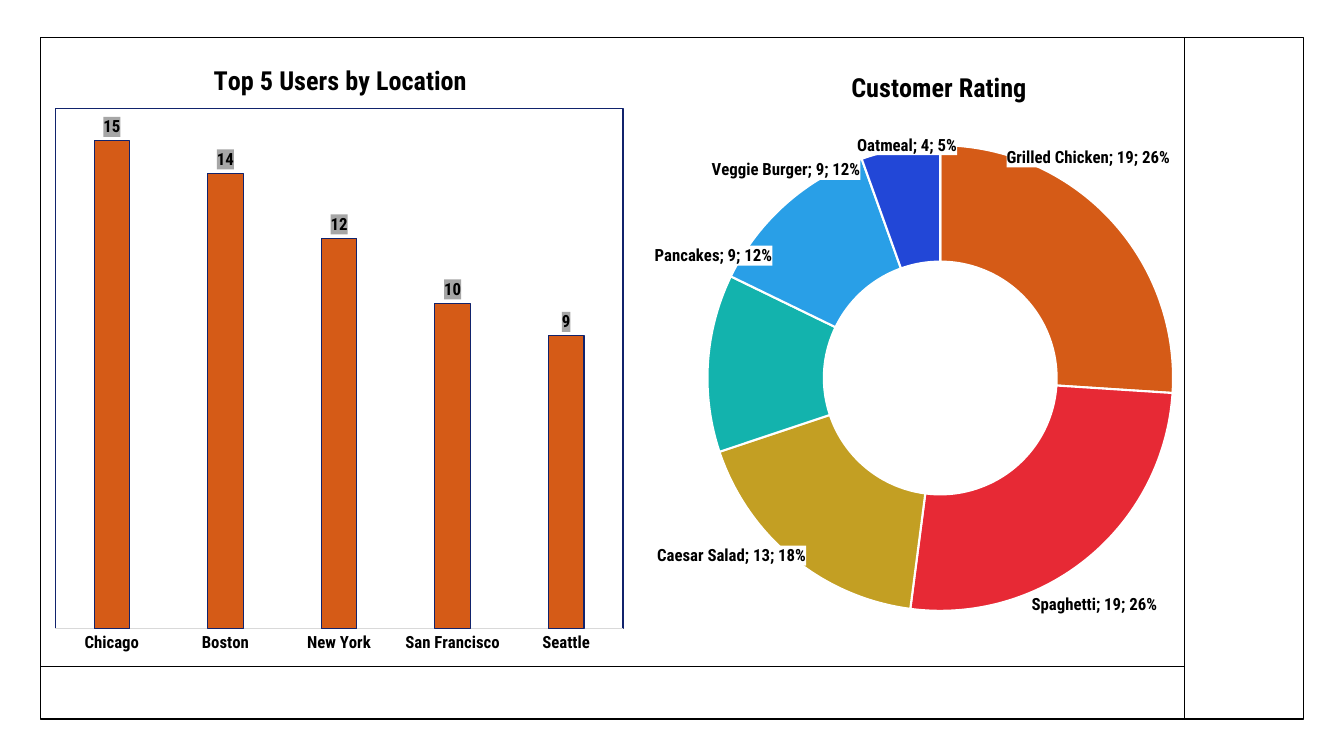
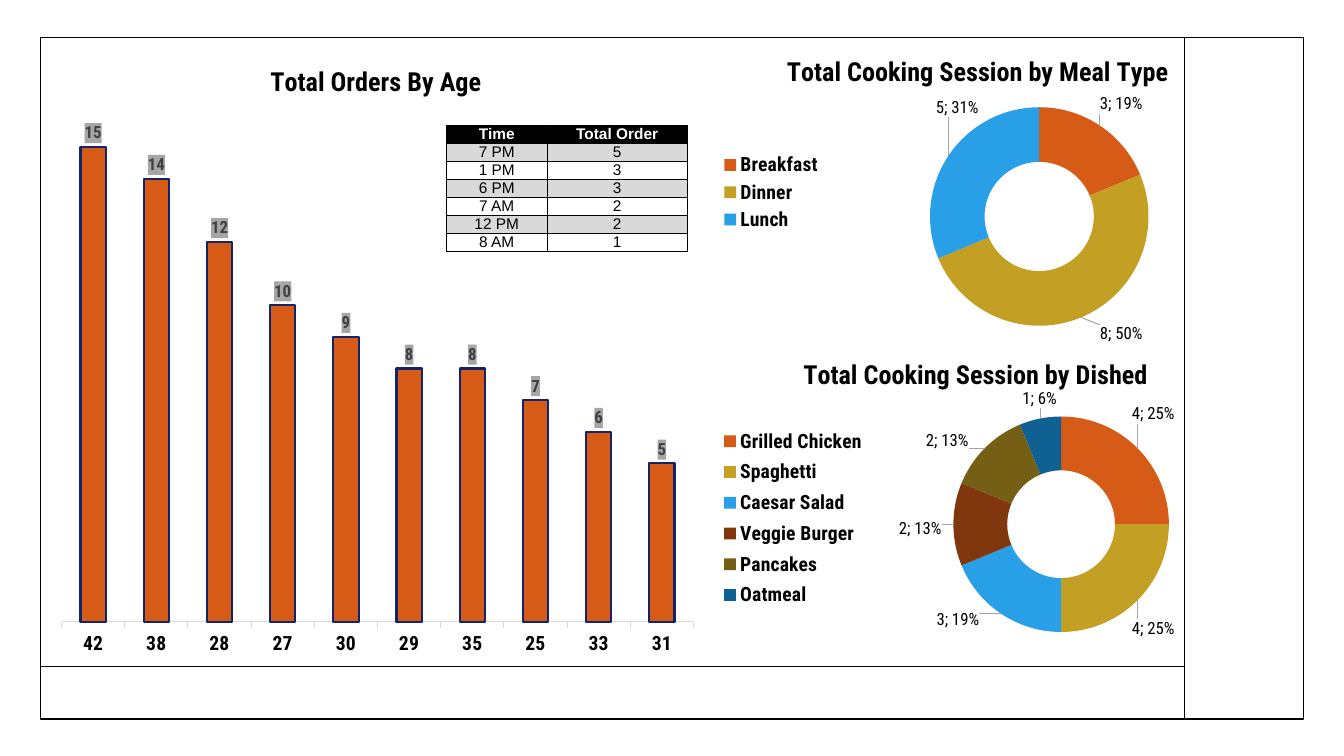
import math
from dataclasses import dataclass
from itertools import accumulate
from typing import NamedTuple

from pptx import Presentation, oxml
from pptx.chart import data as chart_data
from pptx.dml.color import RGBColor
from pptx.enum import chart as ec, shapes, text
from pptx.oxml import ns
from pptx.util import Cm, Pt


@dataclass(frozen=True)
class Theme:
    font: str = "Roboto Condensed"
    table_font: str = "Arial"
    black: str = "000000"
    white: str = "FFFFFF"
    orange: str = "D55B17"
    gold: str = "C39F23"
    sky: str = "299FE7"
    navy: str = "11236C"
    label_grey: str = "A6A6A6"
    axis_grey: str = "D9D9D9"
    dark_grey: str = "404040"
    title_size: float = 18.7
    large_size: int = 14
    label_size: int = 12
    table_size: int = 11
    base_size: int = 10


THEME = Theme()


class Box(NamedTuple):
    """Centimetres on the slide, or fractions inside a chart."""
    x: float
    y: float
    w: float
    h: float


class Spot(NamedTuple):
    x: float
    y: float


class Slice(NamedTuple):
    name: str
    value: int
    color: str
    label: Spot


@dataclass(frozen=True)
class Chart:
    title: str
    title_at: Spot
    area: Box
    plot: Box


@dataclass(frozen=True)
class BarChart(Chart):
    values: dict[str, int]
    gap: int
    overlap: int
    outline: float
    axis_size: int
    tick: ec.XL_TICK_MARK
    label_color: str
    plot_border: bool = False


@dataclass(frozen=True)
class RingChart(Chart):
    slices: list[Slice]
    hole: int = 50
    legend: Box | None = None
    named_labels: bool = False


LOCATIONS = BarChart(
    "Top 5 Users by Location", Spot(0.28, 0.03), Box(1.09, 0.99, 14.91, 15.8),
    Box(0.02, 0.11, 0.96, 0.83),
    {"Chicago": 15, "Boston": 14, "New York": 12, "San Francisco": 10, "Seattle": 9},
    gap=219, overlap=-27, outline=0.75, axis_size=THEME.label_size,
    tick=ec.XL_TICK_MARK.NONE, label_color=THEME.black, plot_border=True)

RATING = RingChart(
    "Customer Rating", Spot(0.35, 0.03), Box(16, 1.19, 15.24, 15.44),
    Box(0.12, 0.16, 0.77, 0.76),
    [Slice("Grilled Chicken", 19, THEME.orange, Spot(0.75, 0.18)),
     Slice("Spaghetti", 19, "E72935", Spot(0.76, 0.91)),
     Slice("Caesar Salad", 13, THEME.gold, Spot(0.16, 0.83)),
     Slice("Pancakes", 9, "13B3AD", Spot(0.13, 0.34)),
     Slice("Veggie Burger", 9, THEME.sky, Spot(0.25, 0.2)),
     Slice("Oatmeal", 4, "2247D7", Spot(0.45, 0.16))],
    hole=75, named_labels=True)

AGES = BarChart(
    "Total Orders By Age", Spot(0.33, 0.03), Box(1.22, 1.02, 16.59, 15.75),
    Box(0.02, 0.12, 0.96, 0.81),
    {"42": 15, "38": 14, "28": 12, "27": 10, "30": 9,
     "29": 8, "35": 8, "25": 7, "33": 6, "31": 5},
    gap=150, overlap=0, outline=1.5, axis_size=THEME.large_size,
    tick=ec.XL_TICK_MARK.OUTSIDE, label_color=THEME.dark_grey)

DISHES = RingChart(
    "Total Cooking Session by Dished", Spot(0.17, 0.03), Box(17.78, 8.66, 13.79, 7.65),
    Box(0.45, 0.24, 0.4, 0.71),
    [Slice("Grilled Chicken", 4, THEME.orange, Spot(0.82, 0.23)),
     Slice("Spaghetti", 4, THEME.gold, Spot(0.82, 0.94)),
     Slice("Caesar Salad", 3, THEME.sky, Spot(0.46, 0.91)),
     Slice("Veggie Burger", 2, "80370E", Spot(0.39, 0.61)),
     Slice("Pancakes", 2, "755F15", Spot(0.44, 0.32)),
     Slice("Oatmeal", 1, "106193", Spot(0.61, 0.18))],
    legend=Box(0.02, 0.26, 0.28, 0.63))

MEALS = RingChart(
    "Total Cooking Session by Meal Type", Spot(0.14, 0.03), Box(17.78, 1.02, 13.79, 7.65),
    Box(0.41, 0.22, 0.4, 0.72),
    [Slice("Breakfast", 3, THEME.orange, Spot(0.76, 0.21)),
     Slice("Dinner", 8, THEME.gold, Spot(0.76, 0.97)),
     Slice("Lunch", 5, THEME.sky, Spot(0.46, 0.22))],
    legend=Box(0.02, 0.36, 0.2, 0.28))

ORDER_TIMES = [("Time", "Total Order"), ("7 PM", "5"), ("1 PM", "3"), ("6 PM", "3"),
               ("7 AM", "2"), ("12 PM", "2"), ("8 AM", "1")]


def rgb(color: str) -> RGBColor:
    return RGBColor.from_string(color)


def set_font(font, size: float, color: str = THEME.black, bold: bool = False,
             name: str = THEME.font) -> None:
    font.size, font.bold, font.name = Pt(size), bold, name
    font.color.rgb = rgb(color)


def write_text(frame, words: str, **style) -> None:
    frame.text = words
    paragraph = frame.paragraphs[0]
    paragraph.alignment = text.PP_ALIGN.CENTER
    set_font(paragraph.runs[0].font, **style)


def set_line(line, color: str, width: float) -> None:
    line.color.rgb = rgb(color)
    line.width = Pt(width)


def xml(source: str):
    """Parse one element, declaring its namespaces on the first tag."""
    tag, rest = source.split(">", 1)
    return oxml.parse_xml(f"{tag} {ns.nsdecls('a', 'c')}>{rest}")


def solid(color: str) -> str:
    return f'<a:solidFill><a:srgbClr val="{color}"/></a:solidFill>'


def outline(color: str, width: float) -> str:
    return f'<c:spPr><a:ln w="{Pt(width)}">{solid(color)}</a:ln></c:spPr>'


def layout(at: Spot | Box, inner: bool = False) -> str:
    target = '<c:layoutTarget val="inner"/>' if inner else ""
    modes = "".join(f'<c:{axis}Mode val="edge"/>' for axis in "xy")
    places = "".join(f'<c:{key} val="{value}"/>' for key, value in at._asdict().items())
    return f"<c:layout><c:manualLayout>{target}{modes}{places}</c:manualLayout></c:layout>"


def place(chart, part: str, at: Spot | Box, after: str = "") -> None:
    """Give a chart part a manual layout, following the child named in after."""
    owner = chart.element.xpath(f"c:chart/c:{part}")[0]
    for automatic in owner.xpath("c:layout"):
        owner.remove(automatic)
    index = owner.index(owner.xpath(f"c:{after}")[0]) + 1 if after else 0
    owner.insert(index, xml(layout(at, inner=part == "plotArea")))


def label_offsets(ring: RingChart) -> list[Spot]:
    """Distance of each label from the middle of its ring segment."""
    plot, values = ring.plot, [part.value for part in ring.slices]
    offsets = []
    for part, end in zip(ring.slices, accumulate(values)):
        angle = 2 * math.pi * (end - part.value / 2) / sum(values)
        middle_x = plot.x + plot.w / 2 * (1 + 0.75 * math.sin(angle))
        middle_y = plot.y + plot.h / 2 * (1 - 0.75 * math.cos(angle))
        offsets.append(Spot(part.label.x - middle_x, part.label.y - middle_y))
    return offsets


def add_labels(chart, color: str, bold: bool, fill: str = "", position: str = "",
               named: bool = False, percent: bool = False, offsets: list[Spot] = ()) -> None:
    shown = {"LegendKey": False, "Val": True, "CatName": named, "SerName": False,
             "Percent": percent, "BubbleSize": False}
    look = (
        (f"<c:spPr>{solid(fill)}</c:spPr>" if fill else "")
        + f'<c:txPr><a:bodyPr wrap="none"/><a:p><a:pPr><a:defRPr sz="{THEME.label_size * 100}" '
        + f'b="{bold:d}">{solid(color)}<a:latin typeface="{THEME.font}"/></a:defRPr></a:pPr>'
        + "</a:p></c:txPr>"
        + (f'<c:dLblPos val="{position}"/>' if position else "")
        + "".join(f'<c:show{key} val="{on:d}"/>' for key, on in shown.items())
        + "<c:separator>; </c:separator>")
    points = "".join(
        f'<c:dLbl><c:idx val="{index}"/><c:layout><c:manualLayout><c:x val="{offset.x:.4f}"/>'
        f'<c:y val="{offset.y:.4f}"/></c:manualLayout></c:layout>{look}</c:dLbl>'
        for index, offset in enumerate(offsets))
    leaders = f'<c:showLeaderLines val="{not named:d}"/>' if percent else ""
    if percent and not named:
        leaders += f"<c:leaderLines>{outline(THEME.label_grey, 0.75)}</c:leaderLines>"
    categories = chart.element.xpath("//c:ser/c:cat")[0]
    categories.addprevious(xml(f"<c:dLbls>{points}{look}{leaders}</c:dLbls>"))


def add_chart(slide, design: Chart, kind: ec.XL_CHART_TYPE, values: dict[str, int]):
    numbers = chart_data.CategoryChartData()
    numbers.categories = list(values)
    numbers.add_series("Series 1", list(values.values()))
    chart = slide.shapes.add_chart(kind, *map(Cm, design.area), numbers).chart
    set_font(chart.font, THEME.base_size)
    write_text(chart.chart_title.text_frame, design.title, size=THEME.title_size, bold=True)
    place(chart, "title", design.title_at, after="tx")
    place(chart, "plotArea", design.plot)
    chart.has_legend = False
    return chart


def add_bars(slide, design: BarChart) -> None:
    chart = add_chart(slide, design, ec.XL_CHART_TYPE.COLUMN_CLUSTERED, design.values)
    plot = chart.plots[0]
    plot.gap_width, plot.overlap, plot.vary_by_categories = design.gap, design.overlap, False
    bars = plot.series[0]
    bars.format.fill.solid()
    bars.format.fill.fore_color.rgb = rgb(THEME.orange)
    set_line(bars.format.line, THEME.navy, design.outline)

    scale, groups = chart.value_axis, chart.category_axis
    scale.visible = scale.has_major_gridlines = False
    scale.minimum_scale, scale.maximum_scale = 0, 16
    groups.major_tick_mark = design.tick
    set_font(groups.tick_labels.font, design.axis_size, bold=True)
    set_line(groups.format.line, THEME.axis_grey, 0.75)
    add_labels(chart, design.label_color, True, fill=THEME.label_grey, position="outEnd")
    if design.plot_border:
        chart.element.xpath("//c:plotArea")[0].append(xml(outline(THEME.navy, 0.75)))


def add_ring(slide, design: RingChart) -> None:
    values = {part.name: part.value for part in design.slices}
    chart = add_chart(slide, design, ec.XL_CHART_TYPE.DOUGHNUT, values)
    chart.element.xpath("//c:holeSize")[0].set("val", str(design.hole))
    for index, part in enumerate(design.slices):
        segment = chart.plots[0].series[0].points[index].format
        segment.fill.solid()
        segment.fill.fore_color.rgb = rgb(part.color)
        if design.named_labels:
            set_line(segment.line, THEME.white, 1.5)
        else:
            segment.line.fill.background()
    add_labels(chart, THEME.black, design.named_labels, percent=True, named=design.named_labels,
               fill=THEME.white if design.named_labels else "", offsets=label_offsets(design))
    if design.legend:
        chart.has_legend = True
        chart.legend.position = ec.XL_LEGEND_POSITION.LEFT
        chart.legend.include_in_layout = False
        set_font(chart.legend.font, THEME.large_size, bold=True)
        place(chart, "legend", design.legend, after="legendPos")


def add_order_times(slide) -> None:
    widths, row_height = (2.54, 3.53), 0.44
    table = slide.shapes.add_table(
        len(ORDER_TIMES), len(widths), Cm(11.25), Cm(3.15),
        Cm(sum(widths)), Cm(row_height * len(ORDER_TIMES))).table
    table.first_row = table.horz_banding = False
    for column, width in zip(table.columns, widths):
        column.width = Cm(width)
    for r, entries in enumerate(ORDER_TIMES):
        table.rows[r].height = Cm(row_height)
        for c, entry in enumerate(entries):
            cell = table.cell(r, c)
            cell.margin_left = cell.margin_right = cell.margin_top = Cm(0.02)
            cell.margin_bottom = 0
            cell.vertical_anchor = text.MSO_ANCHOR.BOTTOM
            write_text(cell.text_frame, entry, size=THEME.table_size, bold=r == 0,
                       color=THEME.black if r else THEME.white, name=THEME.table_font)
            if r % 2 or r == 0:
                cell.fill.solid()
                cell.fill.fore_color.rgb = rgb(THEME.axis_grey if r else THEME.black)
            else:
                cell.fill.background()
            for index, side in enumerate("LRTB"):
                border = f'<a:ln{side} w="{Pt(0.5)}">{solid(THEME.black)}</a:ln{side}>'
                cell._tc.tcPr.insert(index, xml(border))


def add_frame(slide, page_layout) -> None:
    """Draw the page frame and hand it to the layout that the slides share."""
    border = slide.shapes.add_shape(
        shapes.MSO_SHAPE.RECTANGLE, Cm(1.02), Cm(0.94), Cm(31.83), Cm(17.18))
    border.shadow.inherit = False
    border.fill.background()
    parts = [border]
    for ends in ((29.85, 0.94, 29.85, 18.12), (1.02, 16.79, 29.85, 16.79)):
        divider = slide.shapes.add_connector(shapes.MSO_CONNECTOR.STRAIGHT, *map(Cm, ends))
        parts.append(divider)
    for part in parts:
        set_line(part.line, THEME.black, 1)
        if part is not border:
            part.element.spPr.append(xml("<a:effectLst></a:effectLst>"))
        page_layout.shapes.element.append(part.element)


def main() -> None:
    deck = Presentation()
    deck.slide_width, deck.slide_height = Cm(33.87), Cm(19.05)
    page_layout = deck.slide_layouts[6]
    users, orders = (deck.slides.add_slide(page_layout) for _ in range(2))
    add_frame(users, page_layout)
    add_bars(users, LOCATIONS)
    add_ring(users, RATING)
    add_bars(orders, AGES)
    add_ring(orders, DISHES)
    add_ring(orders, MEALS)
    add_order_times(orders)
    deck.save("out.pptx")


if __name__ == "__main__":
    main()
